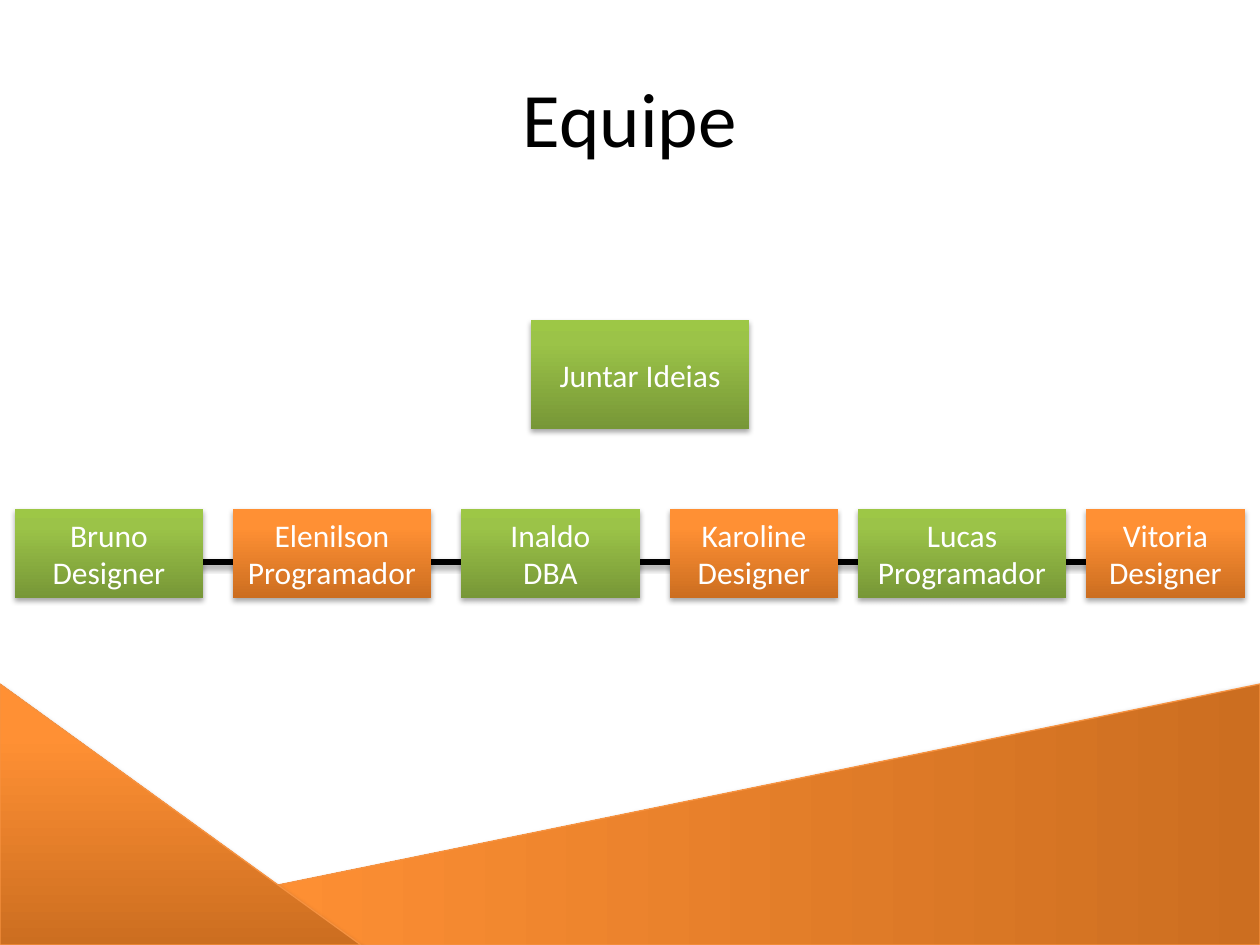
from copy import deepcopy

from lxml.etree import SubElement
from pptx import Presentation
from pptx.dml.color import RGBColor
from pptx.enum.shapes import MSO_CONNECTOR, MSO_SHAPE
from pptx.enum.text import MSO_ANCHOR, PP_ALIGN
from pptx.oxml.ns import qn
from pptx.util import Pt

PX = 914400 // 126
COLORS = {"text": "000000", "label": "FFFFFF", "edge": "F69240"}
GRADIENTS = {
    "green": ["779737", "9BC348", "9DC746"],
    "orange": ["CC6E20", "FF9034", "FF9136"],
}
STOPS = [0, 0.8, 1]


def add_shadow(sp):
    """Give a shape or connector a soft shadow falling straight down."""
    spPr = sp._element.spPr
    effects = spPr.find(qn("a:effectLst"))
    if effects is None:
        effects = SubElement(spPr, qn("a:effectLst"))
    shadow = SubElement(effects, qn("a:outerShdw"), blurRad="40000",
                        dist="23000", dir="5400000", rotWithShape="0")
    color = SubElement(shadow, qn("a:srgbClr"), val=COLORS["text"])
    SubElement(color, qn("a:alpha"), val="35000")


def add_block(kind, x, y, w, h, gradient, lines=()):
    """Add a shaded shape, dark at its bottom, with one paragraph per line."""
    sp = slide.shapes.add_shape(kind, x * PX, y * PX, w * PX, h * PX)
    sp.fill.gradient()
    sp.fill.gradient_angle = 90
    stops = sp._element.spPr.find(".//" + qn("a:gsLst"))
    stops.append(deepcopy(stops[0]))
    for stop, position, color in zip(sp.fill.gradient_stops, STOPS, GRADIENTS[gradient]):
        stop.position = position
        stop.color.rgb = RGBColor.from_string(color)
    sp.line.fill.background()
    sp.shadow.inherit = False
    add_shadow(sp)
    tf = sp.text_frame
    tf.vertical_anchor = MSO_ANCHOR.MIDDLE
    tf.text = "\n".join(lines)
    for p in tf.paragraphs:
        p.alignment = PP_ALIGN.CENTER
        p.font.size = Pt(18)
        p.font.name = "Calibri"
        p.font.color.rgb = RGBColor.from_string(COLORS["label"])
    return sp


prs = Presentation()
prs.slide_width, prs.slide_height = 1260 * PX, 945 * PX
slide = prs.slides.add_slide(prs.slide_layouts[6])

# Line behind the team
line = slide.shapes.add_connector(
    MSO_CONNECTOR.STRAIGHT, 154 * PX, 562 * PX, 1225 * PX, 562 * PX)
line.line.width = Pt(3)
line.line.color.rgb = RGBColor.from_string(COLORS["text"])
add_shadow(line)

# Title
title = slide.shapes.add_textbox(63 * PX, 38 * PX, 1134 * PX, 157 * PX)
tf = title.text_frame
tf.word_wrap = True
tf.vertical_anchor = MSO_ANCHOR.MIDDLE
p = tf.paragraphs[0]
p.text = "Equipe"
p.alignment = PP_ALIGN.CENTER
p.font.size = Pt(44)
p.font.name = "Calibri"
p.font.color.rgb = RGBColor.from_string(COLORS["text"])

# Team members, left to right: name, role, width, gap after
team = [
    ("Bruno", "Designer", 188, 30),
    ("Elenilson", "Programador", 198, 30),
    ("Inaldo", "DBA", 179, 30),
    ("Karoline", "Designer", 168, 20),
    ("Lucas", "Programador", 208, 20),
    ("Vitoria", "Designer", 159, 0),
]
x = 15
for i, (name, role, w, gap) in enumerate(team):
    add_block(MSO_SHAPE.RECTANGLE, x, 509, w, 89, ("green", "orange")[i % 2], [name, role])
    x += w + gap

add_block(MSO_SHAPE.RECTANGLE, 531, 320, 218, 109, "green", ["Juntar Ideias"])

# Footer triangles
for x, y, w, h, rotation in [(492, 177, 261, 1275, 270), (0, 684, 361, 261, 0)]:
    triangle = add_block(MSO_SHAPE.RIGHT_TRIANGLE, x, y, w, h, "orange")
    triangle.rotation = rotation
    triangle.line.width = Pt(0.75)
    triangle.line.color.rgb = RGBColor.from_string(COLORS["edge"])

prs.save("out.pptx")
